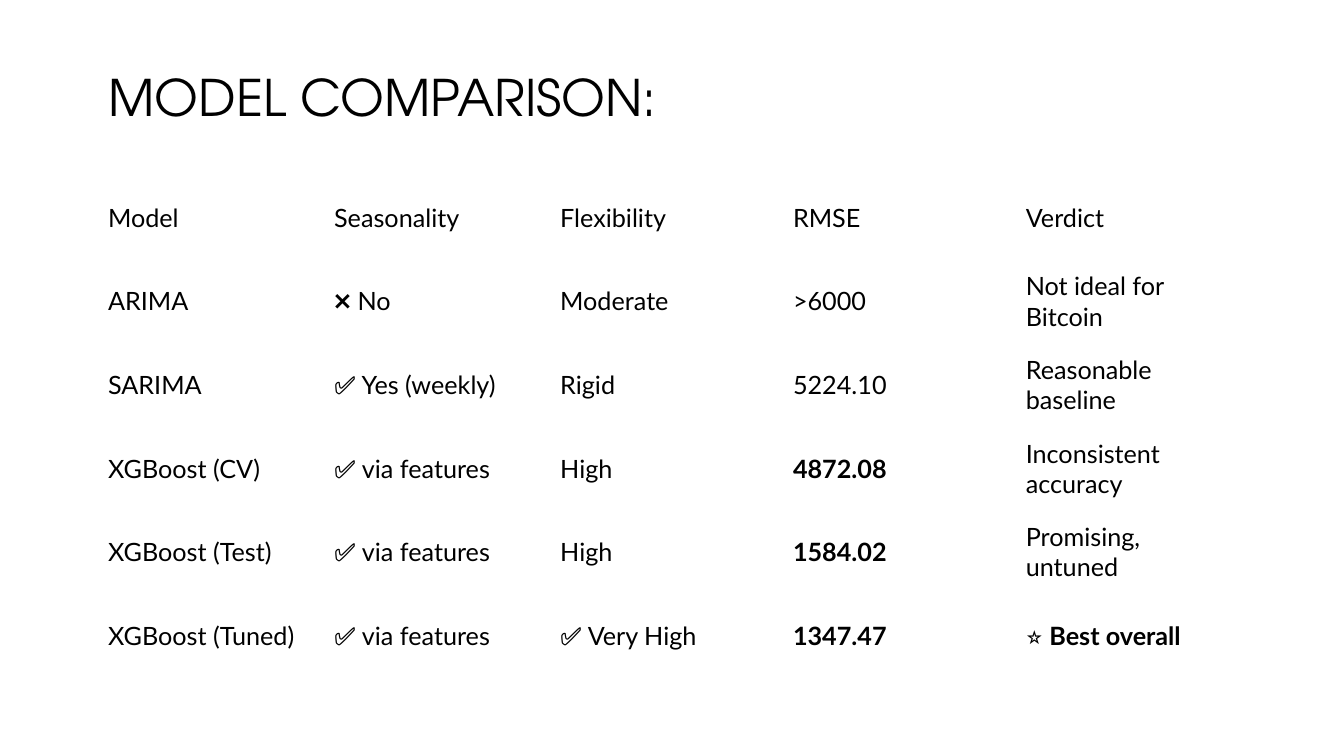
from pptx import Presentation
from pptx.dml.color import RGBColor
from pptx.enum.text import MSO_ANCHOR
from pptx.util import Pt


def color(value):
    return RGBColor.from_string(value)


class SlideBuilder:
    heading_font = "TeX Gyre Adventor"
    body_font = "Lato"
    ink = "000000"
    paper = "FFFFFF"

    def __init__(self, deck):
        self.page = deck.slides.add_slide(deck.slide_layouts[6])
        self.page.background.fill.solid()
        self.page.background.fill.fore_color.rgb = color(self.paper)

    def add_run(self, para, text, font, size, bold=False):
        span = para.add_run()
        span.text = text
        span.font.name = font
        span.font.size = Pt(size)
        span.font.bold = bold
        span.font.color.rgb = color(self.ink)

    def title(self, text, left, top, width, height):
        box = self.page.shapes.add_textbox(Pt(left), Pt(top), Pt(width), Pt(height))
        frame = box.text_frame
        frame.word_wrap = True
        frame.vertical_anchor = MSO_ANCHOR.MIDDLE
        para = frame.paragraphs[0]
        para.line_spacing = 0.9
        self.add_run(para, text, self.heading_font, 36)

    def table(self, rows, left, top, column_widths, row_height):
        table = self.page.shapes.add_table(
            len(rows), len(column_widths), Pt(left), Pt(top),
            Pt(sum(column_widths)), Pt(row_height * len(rows))).table
        table.first_row = False
        table.horz_banding = False
        for column, width in zip(table.columns, column_widths):
            column.width = Pt(width)
        for row, values in zip(table.rows, rows):
            row.height = Pt(row_height)
            for cell, spans in zip(row.cells, values):
                self.fill_cell(cell, spans)

    def fill_cell(self, cell, spans):
        cell.fill.background()
        cell.vertical_anchor = MSO_ANCHOR.MIDDLE
        if isinstance(spans, str):
            spans = [(spans, False)]
        for text, bold in spans:
            self.add_run(cell.text_frame.paragraphs[0], text, self.body_font, 18, bold)


def strong(text):
    return [(text, True)]


def main():
    deck = Presentation()
    deck.slide_width = Pt(960)
    deck.slide_height = Pt(540)
    slide = SlideBuilder(deck)
    slide.title("MODEL COMPARISON:", 70.5, 26.6, 437, 90)
    models = [
        ["Model", "Seasonality", "Flexibility", "RMSE", "Verdict"],
        ["ARIMA", "❌ No", "Moderate", ">6000", "Not ideal for Bitcoin"],
        ["SARIMA", "✅ Yes (weekly)", "Rigid", "5224.10", "Reasonable baseline"],
        ["XGBoost (CV)", "✅ via features", "High", strong("4872.08"),
         "Inconsistent accuracy"],
        ["XGBoost (Test)", "✅ via features", "High", strong("1584.02"),
         "Promising, untuned"],
        ["XGBoost (Tuned)", "✅ via features", "✅ Very High", strong("1347.47"),
         [("⭐ ", False), ("Best overall", True)]],
    ]
    slide.table(models, 70, 125.5, [161.5] * 2 + [166.3] * 3, 59.75)
    deck.save("out.pptx")


if __name__ == "__main__":
    main()
